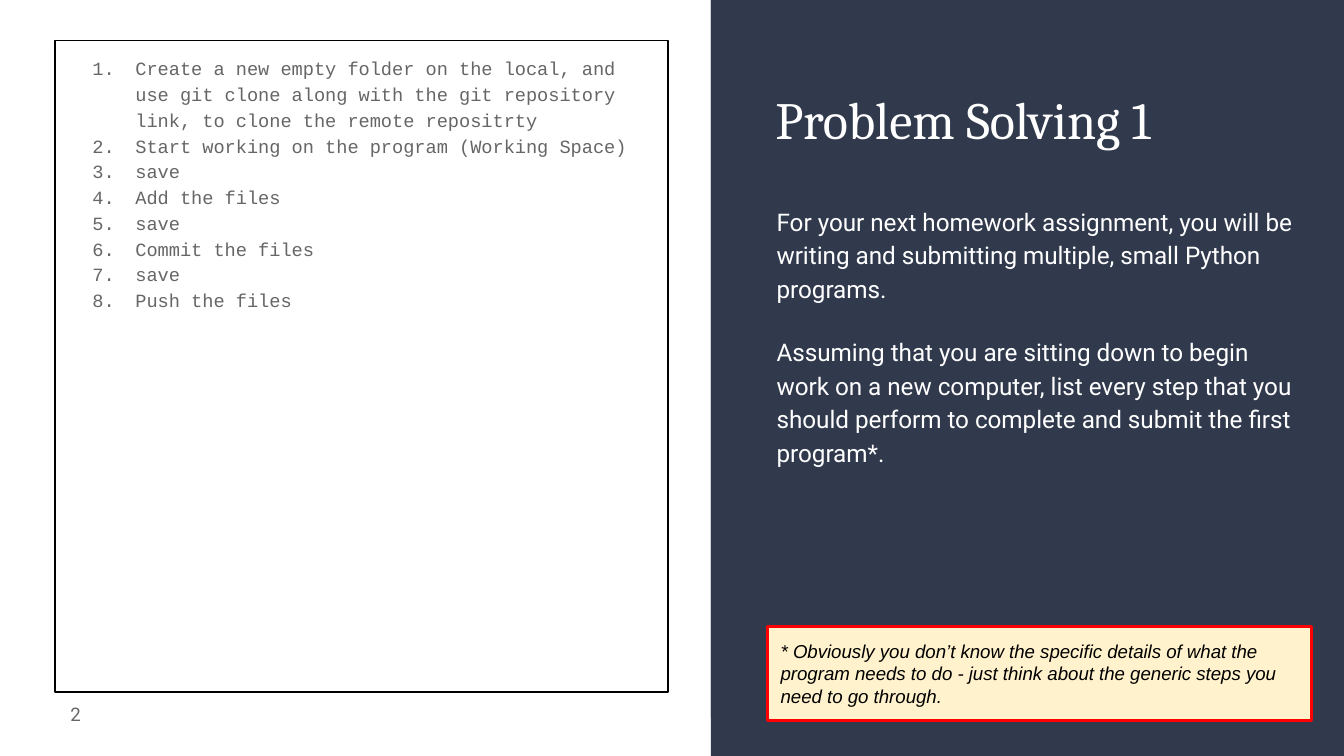
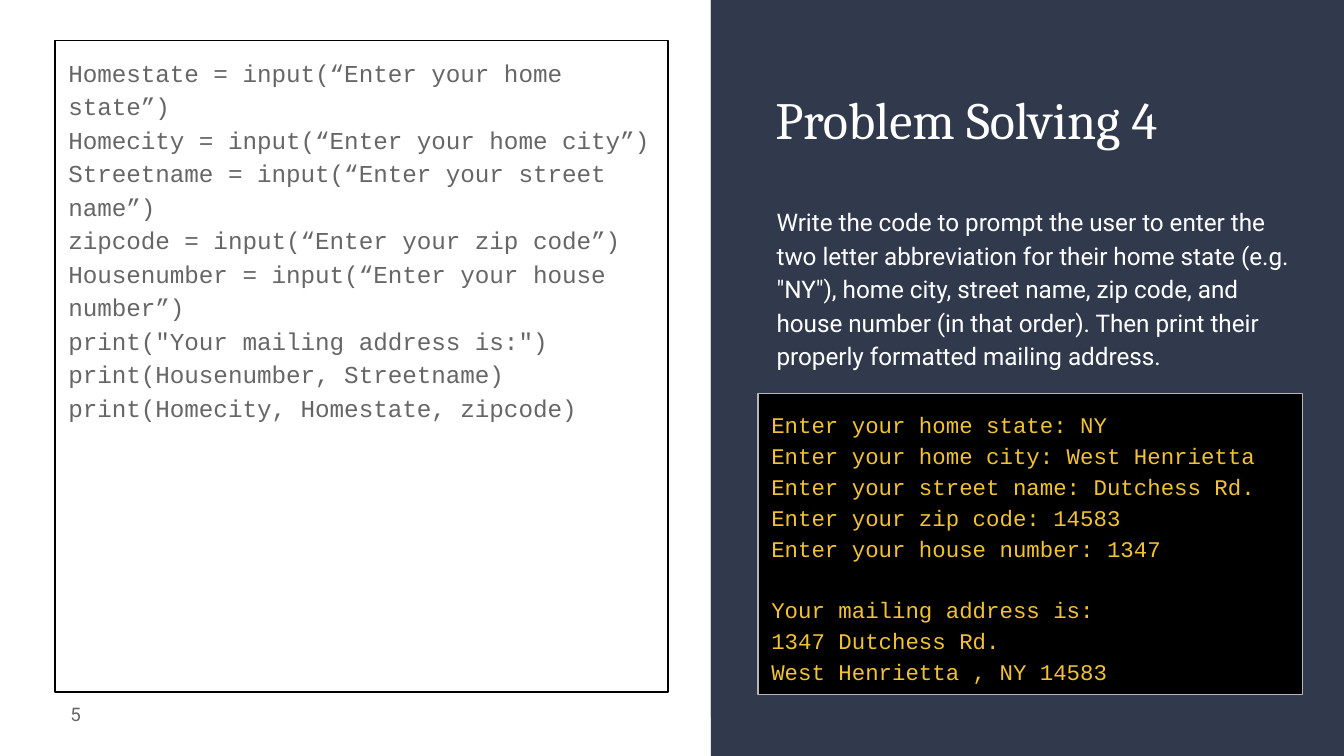
from lxml import etree
from pptx import Presentation
from pptx.dml.color import RGBColor
from pptx.enum.shapes import MSO_SHAPE
from pptx.enum.text import MSO_ANCHOR, PP_ALIGN
from pptx.oxml.ns import qn
from pptx.util import Inches, Pt

RECTANGLE = MSO_SHAPE.RECTANGLE
TOP, MIDDLE = MSO_ANCHOR.TOP, MSO_ANCHOR.MIDDLE
LEFT, RIGHT = PP_ALIGN.LEFT, PP_ALIGN.RIGHT

NAVY = RGBColor(0x31, 0x39, 0x4D)
WHITE = RGBColor(0xFF, 0xFF, 0xFF)
BLACK = RGBColor(0x00, 0x00, 0x00)
GREY = RGBColor(0x66, 0x66, 0x66)
SILVER = RGBColor(0xB7, 0xB7, 0xB7)
CREAM = RGBColor(0xFF, 0xF2, 0xCC)
RED = RGBColor(0xFF, 0x00, 0x00)
GOLD = RGBColor(0xF1, 0xC2, 0x32)

TITLE_FONT, BODY_FONT, CODE_FONT, NOTE_FONT = "Cambria", "Roboto", "Courier New", "Arial"
LOOSE = 1.15

# Boxes are left, top, width, height in inches; the slide is 16:9.
SLIDE_WIDTH = 10
SLIDE_HEIGHT = SLIDE_WIDTH * 9 / 16
PANEL_BOX = (5.29, 0, 4.72, SLIDE_HEIGHT)
TITLE_BOX = (5.67, 0.55, 4.05, 0.7)
NUMBER_BOX = (0.1, 5.1, 0.6, 0.43)
ANSWER_BOX = (0.41, 0.3, 4.56, 4.85)

STEPS = [
    "Create a new empty folder on the local, and use git clone along with "
    "the git repository link, to clone the remote repositrty",
    "Start working on the program (Working Space)",
    "save",
    "Add the files",
    "save",
    "Commit the files",
    "save",
    "Push the files",
]
HOMEWORK = [
    "For your next homework assignment, you will be writing and submitting "
    "multiple, small Python programs. ",
    "Assuming that you are sitting down to begin work on a new computer, list "
    "every step that you should perform to complete and submit the first program*.",
]
FOOTNOTE = [
    "* Obviously you don’t know the specific details of what the program needs "
    "to do - just think about the generic steps you need to go through."
]
CODE = [
    "Homestate = input(“Enter your home state”)",
    "Homecity = input(“Enter your home city”)",
    "Streetname = input(“Enter your street name”)",
    "zipcode = input(“Enter your zip code”)",
    "Housenumber = input(“Enter your house number”)",
    'print("Your mailing address is:")',
    "print(Housenumber, Streetname)",
    "print(Homecity, Homestate, zipcode)",
]
ADDRESS_TASK = [
    "Write the code to prompt the user to enter the two letter abbreviation for "
    'their home state (e.g. "NY"), home city, street name, zip code, and house '
    "number (in that order). Then print their properly formatted mailing address."
]
PROMPTS = [
    "Enter your home state: NY",
    "Enter your home city: West Henrietta",
    "Enter your street name: Dutchess Rd.",
    "Enter your zip code: 14583",
    "Enter your house number: 1347",
]
ADDRESS = [
    "Your mailing address is:",
    "1347 Dutchess Rd.",
    "West Henrietta , NY 14583",
]


def inches(box):
    """Turn a box of numbers into lengths."""
    return [Inches(length) for length in box]


def add_box(page, box, fill=None, line=None, line_width=0.75):
    """Place a flat rectangle with an optional fill and outline."""
    shape = page.shapes.add_shape(RECTANGLE, *inches(box))
    shape.shadow.inherit = False
    if fill is None:
        shape.fill.background()
    else:
        shape.fill.solid()
        shape.fill.fore_color.rgb = fill
    if line is None:
        shape.line.fill.background()
    else:
        shape.line.color.rgb = line
        shape.line.width = Pt(line_width)
    return shape


def write(shape, lines, font, size, color, spacing=1.0, anchor=TOP,
          align=LEFT, italic=False):
    """Fill a shape with one styled paragraph per line and return them."""
    frame = shape.text_frame
    frame.word_wrap = True
    frame.vertical_anchor = anchor
    frame.margin_left = frame.margin_right = Inches(0.1)
    frame.margin_top = frame.margin_bottom = Inches(0.1)
    frame.text = "\n".join(lines)
    for para in frame.paragraphs:
        para.alignment = align
        para.line_spacing = spacing
        for span in para.runs:
            span.font.name = font
            span.font.size = Pt(size)
            span.font.color.rgb = color
            span.font.italic = italic
    return frame.paragraphs


def add_text(page, box, lines, *style, **options):
    """Place a text box and return its paragraphs."""
    return write(page.shapes.add_textbox(*inches(box)), lines, *style, **options)


def number_paragraph(para):
    """Give a paragraph a hanging automatic number."""
    properties = para._p.get_or_add_pPr()
    properties.set("marL", str(Inches(0.5)))
    properties.set("indent", str(Inches(-0.32)))
    color = etree.SubElement(properties, qn("a:buClr"))
    etree.SubElement(color, qn("a:srgbClr"), val=str(GREY))
    etree.SubElement(properties, qn("a:buFont"), typeface=CODE_FONT)
    etree.SubElement(properties, qn("a:buAutoNum"), type="arabicPeriod")


def add_panel(page, box):
    """Draw the dark side panel with its slanted overlay."""
    add_box(page, box, fill=NAVY)
    left, top, width, _ = box
    right = left + width
    outline = page.shapes.build_freeform(Inches(left), Inches(top), scale=1.0)
    corners = [(right, top), (right, 3.84), (left, 5.34)]
    outline.add_line_segments([inches(corner) for corner in corners], close=True)
    slant = outline.convert_to_shape()
    slant.shadow.inherit = False
    slant.fill.solid()
    slant.fill.fore_color.rgb = NAVY
    slant.line.fill.background()


def add_page(deck, title, number):
    """Start a slide with the panel, title and slide number."""
    page = deck.slides.add_slide(deck.slide_layouts[6])
    add_panel(page, PANEL_BOX)
    add_text(page, TITLE_BOX, [title], TITLE_FONT, 28, WHITE)
    add_text(page, NUMBER_BOX, [str(number)], BODY_FONT, 10, GREY,
             anchor=MIDDLE, align=RIGHT)
    return page


def add_answer(page, box, lines, size):
    """Write the answer in the outlined area and return its paragraphs."""
    shape = add_box(page, box, line=BLACK)
    return write(shape, lines, CODE_FONT, size, GREY, LOOSE)


def add_task(page, box, lines):
    """Write the task on the panel, with gaps between paragraphs."""
    paragraphs = add_text(page, box, lines, BODY_FONT, 13, WHITE, LOOSE)
    for para in paragraphs[1:]:
        para.space_before = Pt(16)
    paragraphs[-1].space_after = Pt(16)


def add_footnote(page, box, lines):
    """Write a highlighted remark."""
    shape = add_box(page, box, fill=CREAM, line=RED, line_width=1.5)
    write(shape, lines, NOTE_FONT, 10, BLACK, anchor=MIDDLE, italic=True)


def add_terminal(page, box, prompts, output):
    """Show a console session, with a line's gap before the output."""
    shape = add_box(page, box, fill=BLACK, line=SILVER)
    paragraphs = write(shape, prompts + output, CODE_FONT, 12, GOLD, LOOSE)
    paragraphs[len(prompts)].space_before = Pt(16.5)


def build_steps_slide(deck):
    """Build the slide that lists the working steps."""
    page = add_page(deck, "Problem Solving 1", 2)
    add_task(page, (5.68, 1.41, 4.05, 2.16), HOMEWORK)
    for para in add_answer(page, ANSWER_BOX, STEPS, 10):
        number_paragraph(para)
    add_footnote(page, (5.71, 4.66, 4.05, 0.7), FOOTNOTE)


def build_address_slide(deck):
    """Build the slide with the mailing address program."""
    page = add_page(deck, "Problem Solving 4", 5)
    add_answer(page, ANSWER_BOX, CODE, 13)
    add_task(page, (5.68, 1.41, 4.05, 1.35), ADDRESS_TASK)
    add_terminal(page, (5.64, 2.93, 4.05, 2.24), PROMPTS, ADDRESS)


def main():
    """Build and save the deck."""
    deck = Presentation()
    deck.slide_width = Inches(SLIDE_WIDTH)
    deck.slide_height = Inches(SLIDE_HEIGHT)
    build_steps_slide(deck)
    build_address_slide(deck)
    deck.save("out.pptx")


main()
